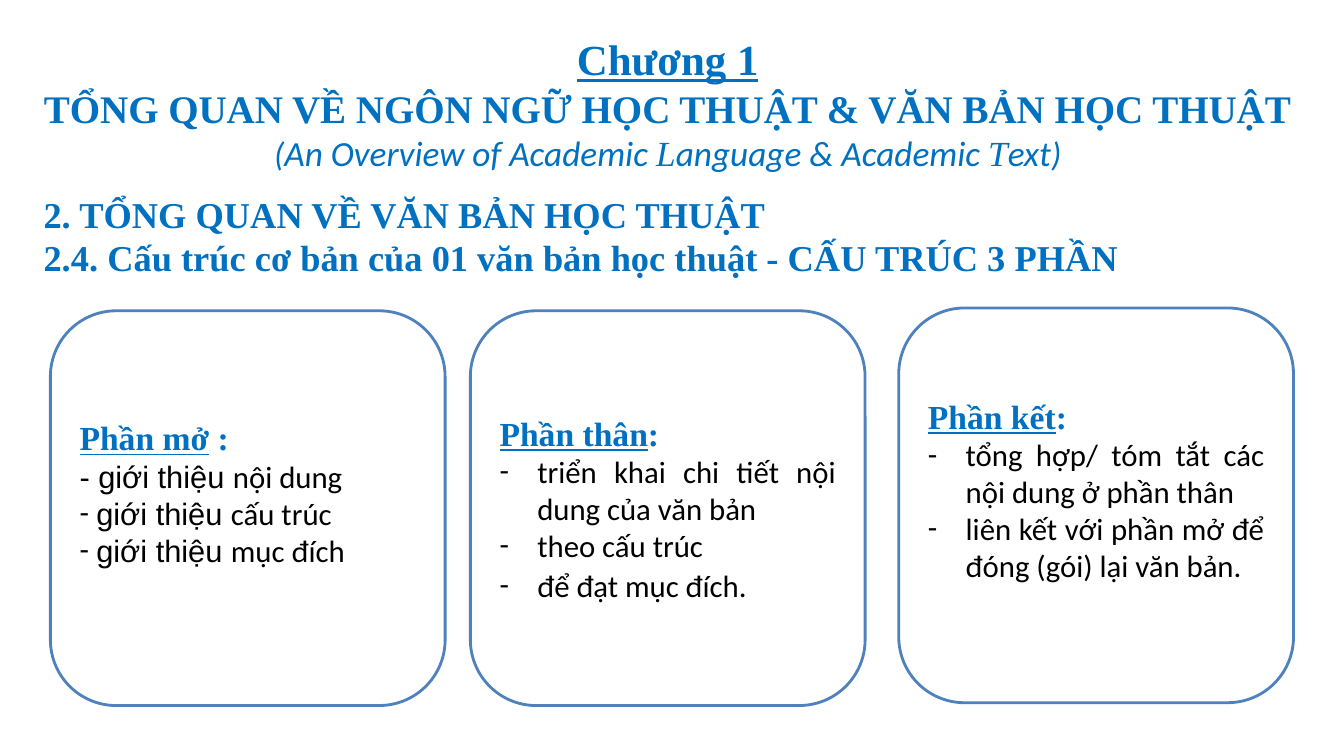
"""Build a slide on the three-part structure of an academic text."""
from dataclasses import dataclass

from lxml import etree
from pptx import Presentation
from pptx.dml.color import RGBColor
from pptx.enum.shapes import MSO_SHAPE
from pptx.enum.text import MSO_ANCHOR, MSO_AUTO_SIZE, PP_ALIGN
from pptx.oxml.ns import qn
from pptx.util import Pt

ROUNDED = MSO_SHAPE.ROUNDED_RECTANGLE
TOP, MIDDLE = MSO_ANCHOR.TOP, MSO_ANCHOR.MIDDLE
LEFT, CENTER, JUSTIFY = PP_ALIGN.LEFT, PP_ALIGN.CENTER, PP_ALIGN.JUSTIFY
NO_FIT = MSO_AUTO_SIZE.NONE


@dataclass(frozen=True)
class Theme:
    """Colours, fonts and type sizes of the slide."""

    blue: str = "0070C0"
    border: str = "4F81BD"
    white: str = "FFFFFF"
    black: str = "000000"
    serif: str = "Times New Roman"
    sans: str = "Calibri"
    plain: str = "Arial"
    chapter: float = 30.6
    topic: float = 27.9
    english: float = 25.2
    bracket: float = 24.3
    section: float = 26
    heading: float = 24
    item: float = 22


THEME = Theme()


@dataclass(frozen=True)
class Span:
    """A stretch of text in one format."""

    text: str
    size: float = THEME.item
    font: str = THEME.sans
    color: str = THEME.black
    bold: bool = False
    italic: bool = False
    underline: bool = False


@dataclass(frozen=True)
class Para:
    """A paragraph, with a hanging dash when its indent is set."""

    spans: tuple[Span, ...]
    indent: float = 0
    before: float = 0


@dataclass(frozen=True)
class Card:
    """A rounded box that describes one part of the text."""

    left: float
    top: float
    paras: tuple[Para, ...]
    bottom_inset: float = 3.6


def strong(text: str, size: float, underline: bool = False) -> Span:
    """Return a bold blue serif span."""
    return Span(text, size, THEME.serif, THEME.blue, bold=True, underline=underline)


def english(text: str, size: float = THEME.english, font: str = THEME.sans) -> Span:
    """Return an italic span of the English subtitle."""
    return Span(text, size, font, THEME.blue, italic=True)


def heading(text: str, ending: str) -> Para:
    """Return a card heading with its underlined name."""
    return Para((strong(text, THEME.heading, True), strong(ending, THEME.heading)))


def item(text: str, before: float = 0) -> Para:
    """Return a dashed item of a card."""
    return Para((Span(text),), 27, before)


def introduce(text: str, dash: str = "", indent: float = 0) -> Para:
    """Return an item that names what the opening introduces."""
    return Para((Span(f"{dash}giới thiệu ", font=THEME.plain), Span(text)), indent)


TITLE = (
    Para((strong("Chương 1", THEME.chapter, True),)),
    Para((strong("TỔNG QUAN VỀ NGÔN NGỮ HỌC THUẬT & VĂN BẢN HỌC THUẬT", THEME.topic),)),
    Para((
        english("(", THEME.bracket),
        english("An Overview of Academic "),
        english("L", font=THEME.serif),
        english("anguage & Academic "),
        english("T", font=THEME.serif),
        english("ext"),
        english(")", THEME.bracket),
    )),
)
SECTION = (
    Para((strong("2. TỔNG QUAN VỀ VĂN BẢN HỌC THUẬT", THEME.section),)),
    Para((strong("2.4. Cấu trúc cơ bản của 01 văn bản học thuật - CẤU TRÚC 3 PHẦN",
                 THEME.section),)),
)
CARD_SIDE = 282
CARDS = (
    Card(36, 222, (
        heading("Phần mở", " :"),
        introduce("nội dung", dash="- "),
        introduce("cấu trúc", indent=12),
        introduce("mục đích", indent=12),
    ), 25.6),
    Card(336, 222, (
        heading("Phần thân", ":"),
        item("triển khai chi tiết nội dung của văn bản"),
        item("theo cấu trúc"),
        item("để đạt mục đích.", 2),
    )),
    Card(642, 220, (
        heading("Phần kết", ":"),
        item("tổng hợp/ tóm tắt các nội dung ở phần thân"),
        item("liên kết với phần mở để đóng (gói) lại văn bản."),
    ), 25.6),
)


def add_dash(paragraph, indent: float) -> None:
    """Give a paragraph a dash and a hanging indent."""
    properties = paragraph._p.get_or_add_pPr()
    properties.set("marL", str(Pt(indent)))
    properties.set("indent", str(-Pt(indent)))
    etree.SubElement(properties, qn("a:buFont")).set("typeface", THEME.sans)
    etree.SubElement(properties, qn("a:buChar")).set("char", "-")


def write(shape, paras: tuple[Para, ...], align, anchor,
          top_inset: float = 3.6, bottom_inset: float = 3.6) -> None:
    """Fill a shape with formatted paragraphs."""
    frame = shape.text_frame
    frame_format = {
        "word_wrap": True, "auto_size": NO_FIT, "vertical_anchor": anchor,
        "margin_left": Pt(7.2), "margin_right": Pt(7.2),
        "margin_top": Pt(top_inset), "margin_bottom": Pt(bottom_inset),
    }
    for name, value in frame_format.items():
        setattr(frame, name, value)
    for index, para in enumerate(paras):
        paragraph = frame.add_paragraph() if index else frame.paragraphs[0]
        paragraph.alignment = align
        paragraph.space_before = Pt(para.before)
        if para.indent:
            add_dash(paragraph, para.indent)
        for span in para.spans:
            run = paragraph.add_run()
            run.text = span.text
            run_format = {
                "name": span.font, "size": Pt(span.size), "bold": span.bold,
                "italic": span.italic, "underline": span.underline,
            }
            for name, value in run_format.items():
                setattr(run.font, name, value)
            run.font.color.rgb = RGBColor.from_string(span.color)


def add_card(page, card: Card) -> None:
    """Draw one card with its text."""
    box = page.shapes.add_shape(
        ROUNDED, Pt(card.left), Pt(card.top), Pt(CARD_SIDE), Pt(CARD_SIDE))
    box.shadow.inherit = False
    box.fill.solid()
    box.fill.fore_color.rgb = RGBColor.from_string(THEME.white)
    box.line.color.rgb = RGBColor.from_string(THEME.border)
    box.line.width = Pt(2)
    write(box, card.paras, JUSTIFY, MIDDLE, bottom_inset=card.bottom_inset)


def main() -> None:
    """Build and save the deck."""
    deck = Presentation()
    deck.slide_width, deck.slide_height = Pt(960), Pt(540)
    page = deck.slides.add_slide(deck.slide_layouts[5])
    title = page.shapes.title
    title_place = {"left": 12, "top": 12, "width": 930, "height": 108}
    for name, value in title_place.items():
        setattr(title, name, Pt(value))
    write(title, TITLE, CENTER, TOP, top_inset=11.6)
    section = page.shapes.add_textbox(Pt(24), Pt(132), Pt(918), Pt(396))
    write(section, SECTION, LEFT, TOP, top_inset=5)
    for card in CARDS:
        add_card(page, card)
    deck.save("out.pptx")


if __name__ == "__main__":
    main()
